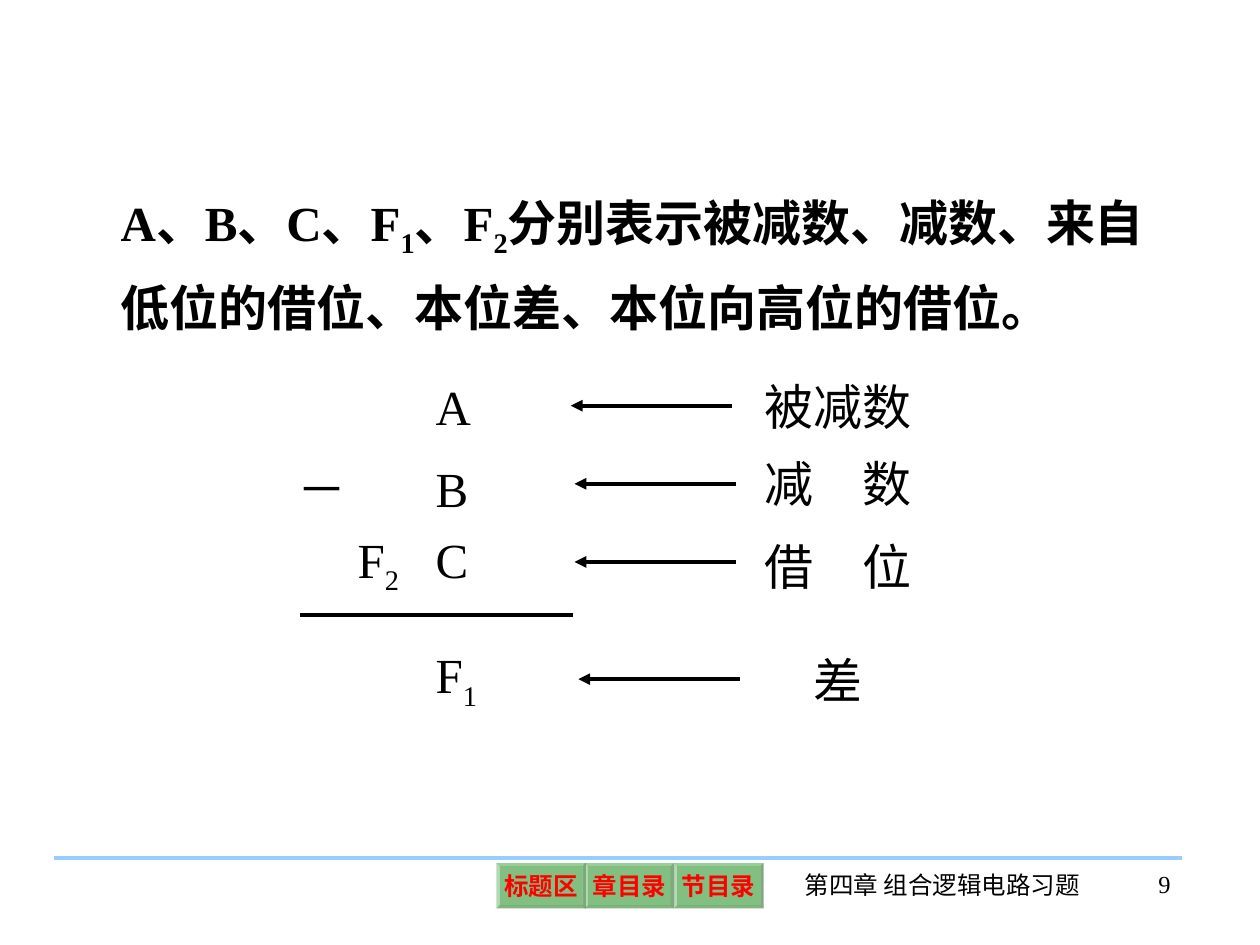
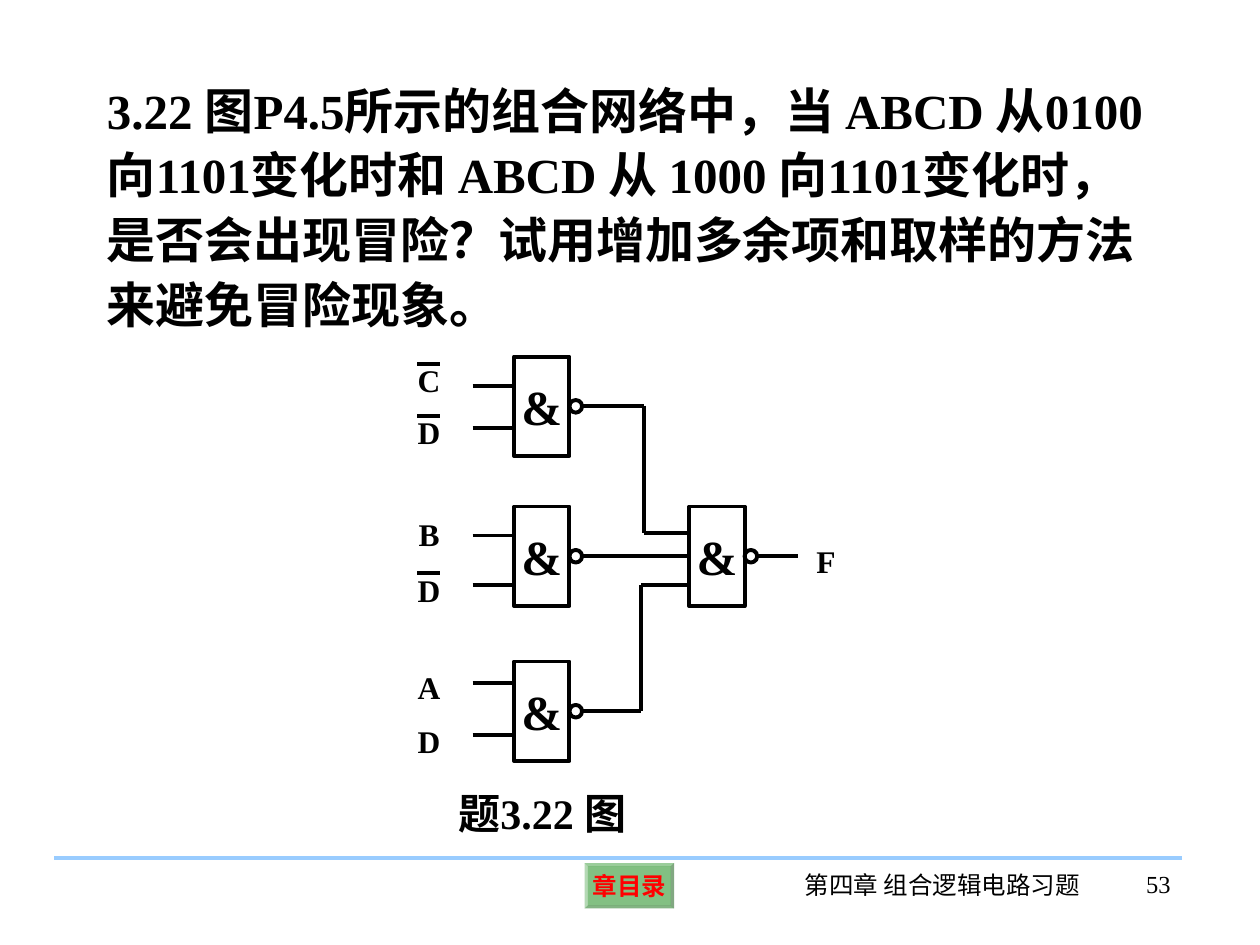
from lxml.etree import SubElement
from pptx import Presentation
from pptx.dml.color import RGBColor
from pptx.enum.shapes import MSO_CONNECTOR, MSO_SHAPE
from pptx.enum.text import MSO_ANCHOR, PP_ALIGN
from pptx.oxml.ns import qn
from pptx.util import Inches, Pt

# Shared style; every length is counted in cells of a 100 x 75 grid
COLUMNS, ROWS = 100, 75
CELL = Inches(0.1)
FONT = "Times New Roman"
BLACK, RED, GREEN, BLUE = "000000", "FF0000", "008000", "99CCFF"
LINE_WIDTH = Pt(2.25)
CHAPTER = "第四章 组合逻辑电路习题"
BUTTON_LEFT = {"标题区": 39.4, "章目录": 46.4, "节目录": 53.5}
GATE_WIDTH, GATE_HEIGHT, BUBBLE = 4.4, 7.9, 1


def cells(*counts):
    return [round(count * CELL) for count in counts]


def color(hex_string):
    return RGBColor.from_string(hex_string)


def write(shape, text, size, bold=False, hex_color=BLACK,
          align=PP_ALIGN.LEFT, spacing=1.0, wrap=True):
    """Fill a shape with one paragraph; parts between bars are subscripts."""
    frame = shape.text_frame
    frame.word_wrap = wrap
    paragraph = frame.paragraphs[0]
    paragraph.alignment = align
    paragraph.line_spacing = spacing
    for index, part in enumerate(text.split("|")):
        if not part:
            continue
        run = paragraph.add_run()
        run.text = part
        run.font.name = FONT
        run.font.size = Pt(size)
        run.font.bold = bold
        run.font.color.rgb = color(hex_color)
        if index % 2:
            run._r.get_or_add_rPr().set("baseline", "-25000")


def add_text(slide, box, text, size=28, **style):
    write(slide.shapes.add_textbox(*cells(*box)), text, size, **style)


def add_line(slide, start, end, hex_color=BLACK, arrow=False):
    line = slide.shapes.add_connector(
        MSO_CONNECTOR.STRAIGHT, *cells(*start, *end))
    line.line.width = LINE_WIDTH
    line.line.color.rgb = color(hex_color)
    if arrow:
        SubElement(line.line._get_or_add_ln(), qn("a:tailEnd"), type="triangle")
    SubElement(line._element.spPr, qn("a:effectLst"))
    return line


def add_wire(slide, *points):
    for start, end in zip(points, points[1:]):
        add_line(slide, start, end)


def add_outline(slide, kind, *box):
    shape = slide.shapes.add_shape(kind, *cells(*box))
    shape.shadow.inherit = False
    shape.fill.background()
    shape.line.color.rgb = color(BLACK)
    shape.line.width = LINE_WIDTH
    return shape


def add_gate(slide, left, top):
    """NAND gate: a box marked & with a bubble on its output."""
    gate = add_outline(slide, MSO_SHAPE.RECTANGLE,
                       left, top, GATE_WIDTH, GATE_HEIGHT)
    gate.text_frame.vertical_anchor = MSO_ANCHOR.MIDDLE
    write(gate, "&", 28, bold=True, align=PP_ALIGN.CENTER, wrap=False)
    add_outline(slide, MSO_SHAPE.OVAL, left + GATE_WIDTH,
                top + (GATE_HEIGHT - BUBBLE) / 2, BUBBLE, BUBBLE)
    return gate


def add_button(slide, label):
    button = slide.shapes.add_shape(
        MSO_SHAPE.BEVEL, *cells(BUTTON_LEFT[label], 68.5, 7.1, 3.6))
    button.adjustments[0] = 0.07
    button.shadow.inherit = False
    button.line.fill.background()
    button.fill.solid()
    button.fill.fore_color.rgb = color(GREEN)
    fill_color = button.fill._xPr.find(qn("a:solidFill"))[0]
    SubElement(fill_color, qn("a:alpha"), val="49000")
    frame = button.text_frame
    frame.margin_left = frame.margin_right = Inches(0.04)
    frame.margin_top = frame.margin_bottom = Inches(0.04)
    frame.vertical_anchor = MSO_ANCHOR.MIDDLE
    write(button, label, 14, bold=True, hex_color=RED,
          align=PP_ALIGN.CENTER, wrap=False)


def add_page(presentation, number, buttons):
    """New slide with the rule, buttons, chapter name and page number."""
    slide = presentation.slides.add_slide(presentation.slide_layouts[6])
    add_line(slide, (4.3, 68.1), (93.8, 68.1), BLUE)
    for label in buttons:
        add_button(slide, label)
    add_text(slide, (61.5, 68.6, 26.6, 5), CHAPTER, 14, align=PP_ALIGN.CENTER)
    add_text(slide, (85.3, 68.5, 8.6, 5), number, 14, align=PP_ALIGN.RIGHT)
    return slide


def build_subtraction(presentation):
    slide = add_page(presentation, "9", BUTTON_LEFT)
    add_text(slide, (8.6, 13.2, 83.7, 14),
             "A、B、C、F|1|、F|2|分别表示被减数、减数、来自低位的借位、"
             "本位差、本位向高位的借位。", bold=True, spacing=1.3)

    # Operands: symbol and its top, meaning and its top, arrow start and row
    operands = [
        ("A", 29.4, "被减数", 29.4, 58.1, 32.2),
        ("B", 35.9, "减　数", 35.5, 58.4, 38.4),
        ("C", 41.5, "借　位", 42.1, 58.4, 44.6),
        ("F|1|", 50.7, "差", 51.1, 58.7, 53.9),
    ]
    for symbol, symbol_top, meaning, meaning_top, start, row in operands:
        add_text(slide, (33.6, symbol_top, 8.7, 5.7), symbol)
        add_text(slide, (58.6, meaning_top, 15.8, 5.7), meaning,
                 align=PP_ALIGN.CENTER)
        add_line(slide, (start, row), (start - 12.8, row), arrow=True)

    # Borrow, minus sign and result line
    add_text(slide, (27.4, 41.5, 7, 6.3), "F|2|")
    add_text(slide, (22.6, 35.9, 5.9, 5.7), "－",
             align=PP_ALIGN.CENTER, wrap=False)
    add_line(slide, (23.8, 48.8), (45.5, 48.8))


def build_circuit(presentation):
    slide = add_page(presentation, "53", ["章目录"])
    add_text(slide, (7.5, 5.4, 86.1, 21.6),
             "3.22 图P4.5所示的组合网络中，当 ABCD 从0100向1101变化时和 "
             "ABCD 从 1000 向1101变化时，是否会出现冒险？试用增加多余项和"
             "取样的方法来避免冒险现象。", bold=True, spacing=1.1)

    # Gates
    gate_left, output_left, middle_top = 40.8, 54.7, 40.2
    for top in (28.3, 52.5):
        add_gate(slide, gate_left, top)
    add_gate(slide, gate_left, middle_top)
    output_gate = add_gate(slide, output_left, middle_top)

    # Wires between the gates and to the output
    bubble_right = gate_left + GATE_WIDTH + BUBBLE
    middle = middle_top + GATE_HEIGHT / 2
    add_wire(slide, (bubble_right, 32.2), (51.1, 32.2), (51.1, 42.3),
             (output_left, 42.3))
    add_wire(slide, (bubble_right, 56.4), (50.9, 56.4), (50.9, 46.4),
             (output_left, 46.4))
    link = add_line(slide, (bubble_right, middle), (output_left, middle))
    link.end_connect(output_gate, 1)
    add_wire(slide, (60.1, middle), (63.3, middle))

    # Inputs: name, label top, wire row, whether inverted
    inputs = [
        ("C", 28.2, 30.6, True),
        ("D", 32.3, 34, True),
        ("B", 40.4, 42.5, False),
        ("D", 44.8, 46.4, True),
        ("A", 52.5, 54.2, False),
        ("D", 56.8, 58.3, False),
    ]
    for name, top, row, inverted in inputs:
        add_text(slide, (31.6, top, 4.9, 4), name, 18, bold=True,
                 align=PP_ALIGN.CENTER)
        add_wire(slide, (37.5, row), (gate_left, row))
        if inverted:
            add_line(slide, (33.1, top + 0.7), (34.9, top + 0.7))

    # Output name and caption
    add_text(slide, (63.1, 42.5, 4.9, 4), "F", 18, bold=True,
             align=PP_ALIGN.CENTER)
    add_text(slide, (35.4, 62, 18.4, 5.7), "题3.22 图", 24, bold=True)


def main():
    presentation = Presentation()
    presentation.slide_width, presentation.slide_height = cells(COLUMNS, ROWS)
    build_subtraction(presentation)
    build_circuit(presentation)
    presentation.save("out.pptx")


if __name__ == "__main__":
    main()
